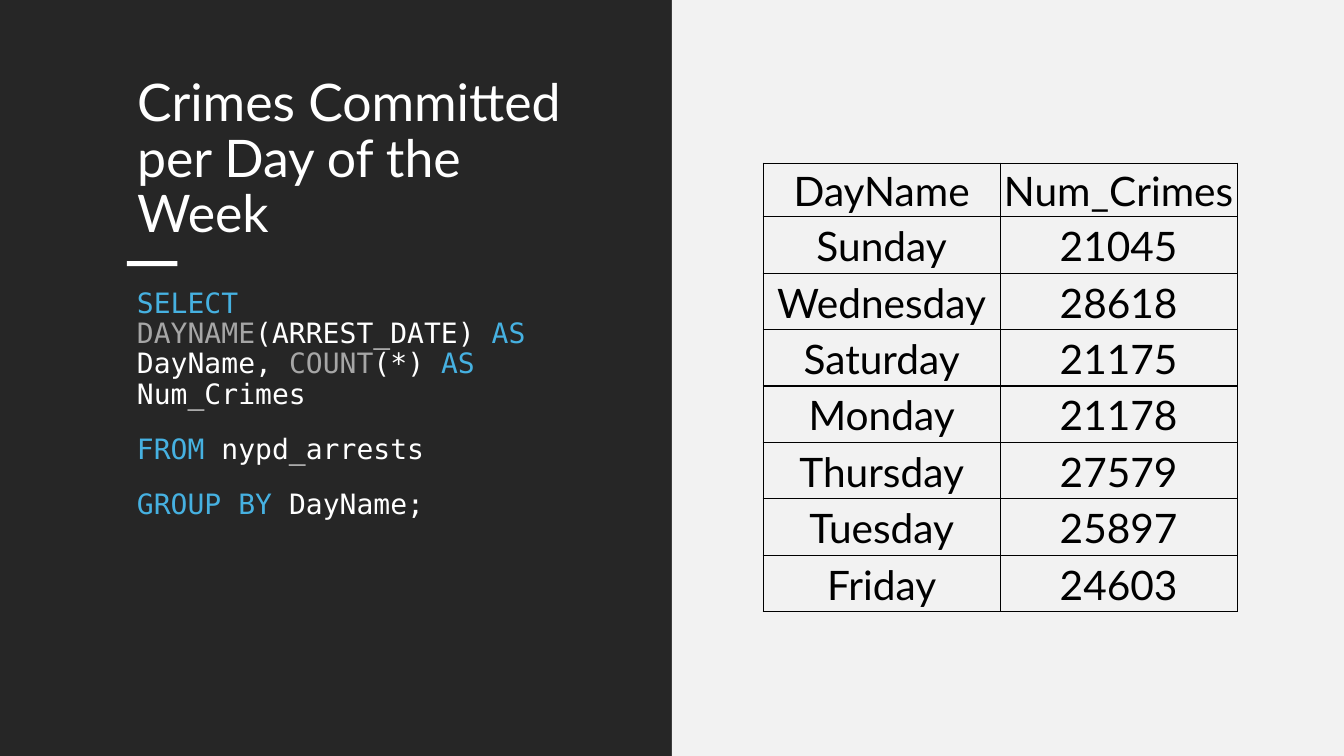
from lxml import etree
from pptx import Presentation
from pptx import util as u
from pptx.dml.color import RGBColor
from pptx.enum import shapes, text
from pptx.oxml import ns

THEME = {
    "dark": "262626", "light": "F2F2F2", "white": "FFFFFF", "black": "000000",
    "keyword": "46B1E1", "function": "A6A6A6",
    "sans": "Lato", "mono": "DejaVu Sans Mono",
    "title_pt": 37, "code_pt": 20, "table_pt": 29,
}

QUERY = [
    [("SELECT ", "keyword"), ("DAYNAME", "function"), ("(ARREST_DATE) ", "white"),
     ("AS ", "keyword"), ("DayName, ", "white"), ("COUNT", "function"),
     ("(*) ", "white"), ("AS ", "keyword"), ("Num_Crimes", "white")],
    [("FROM ", "keyword"), ("nypd_arrests", "white")],
    [("GROUP BY ", "keyword"), ("DayName;", "white")],
]

CRIMES = [
    ("DayName", "Num_Crimes"), ("Sunday", "21045"), ("Wednesday", "28618"),
    ("Saturday", "21175"), ("Monday", "21178"), ("Thursday", "27579"),
    ("Tuesday", "25897"), ("Friday", "24603"),
]


def write(paragraph, words, color, font, size):
    run = paragraph.add_run()
    run.text = words
    run.font.name = THEME[font]
    run.font.size = u.Pt(THEME[size])
    run.font.color.rgb = RGBColor.from_string(THEME[color])


def add_block(slide, left, top, width, height, color):
    block = slide.shapes.add_shape(shapes.MSO_SHAPE.RECTANGLE, left, top, width, height)
    block.shadow.inherit = False
    block.fill.solid()
    block.fill.fore_color.rgb = RGBColor.from_string(THEME[color])
    block.line.fill.background()
    return block


deck = Presentation()
deck.slide_width, deck.slide_height = u.Inches(13.33), u.Inches(7.5)
half = deck.slide_width // 2
margin = u.Inches(1.26)
column = u.Inches(4.7)
slide = deck.slides.add_slide(deck.slide_layouts[5])

# Two halves, with the heading stacked above them
add_block(slide, 0, 0, half, deck.slide_height, "dark")
results_panel = add_block(slide, half, 0, half, deck.slide_height, "light")

heading = slide.shapes.title
results_panel.element.addnext(heading.element)
heading.left, heading.top = margin, u.Inches(0.7)
heading.width, heading.height = column, u.Inches(1.78)
heading.text_frame.word_wrap = True
heading.text_frame.auto_size = text.MSO_AUTO_SIZE.NONE
heading.text_frame.vertical_anchor = text.MSO_ANCHOR.MIDDLE
heading_line = heading.text_frame.paragraphs[0]
heading_line.alignment = text.PP_ALIGN.LEFT
heading_line.line_spacing = 0.9
write(heading_line, "Crimes Committed per Day of the Week", color="white", font="sans", size="title_pt")

add_block(slide, margin, u.Inches(2.59), u.Inches(0.5), u.Inches(0.05), "white")

# SQL query
query = slide.shapes.add_textbox(margin, u.Inches(2.82), u.Inches(4.69), u.Inches(3.97)).text_frame
query.word_wrap = True
for number, clause in enumerate(QUERY):
    line = query.add_paragraph() if number else query.paragraphs[0]
    line.line_spacing = 0.9
    line.space_before = u.Pt(18 if number else 0)
    for words, color in clause:
        write(line, words, color=color, font="mono", size="code_pt")

# Query results
results = slide.shapes.add_table(
    len(CRIMES), 2, u.Inches(7.57), u.Inches(1.62), column, u.Inches(4.44)).table
results.first_row = results.horz_banding = False
for results_column in results.columns:
    results_column.width = column // 2
for number, record in enumerate(CRIMES):
    results.rows[number].height = u.Inches(0.56 if number else 0.53)
    for position, value in enumerate(record):
        cell = results.cell(number, position)
        cell.margin_left = cell.margin_right = cell.margin_top = u.Inches(0.02)
        cell.margin_bottom = 0
        cell.vertical_anchor = text.MSO_ANCHOR.MIDDLE
        properties = cell._tc.get_or_add_tcPr()
        for side in ("lnL", "lnR", "lnT", "lnB"):
            border = etree.SubElement(properties, ns.qn(f"a:{side}"), w=str(u.Pt(1)))
            paint = etree.SubElement(border, ns.qn("a:solidFill"))
            etree.SubElement(paint, ns.qn("a:srgbClr"), val=THEME["black"])
        cell.fill.background()
        entry = cell.text_frame.paragraphs[0]
        entry.alignment = text.PP_ALIGN.CENTER
        write(entry, value, color="black", font="sans", size="table_pt")

deck.save("out.pptx")
